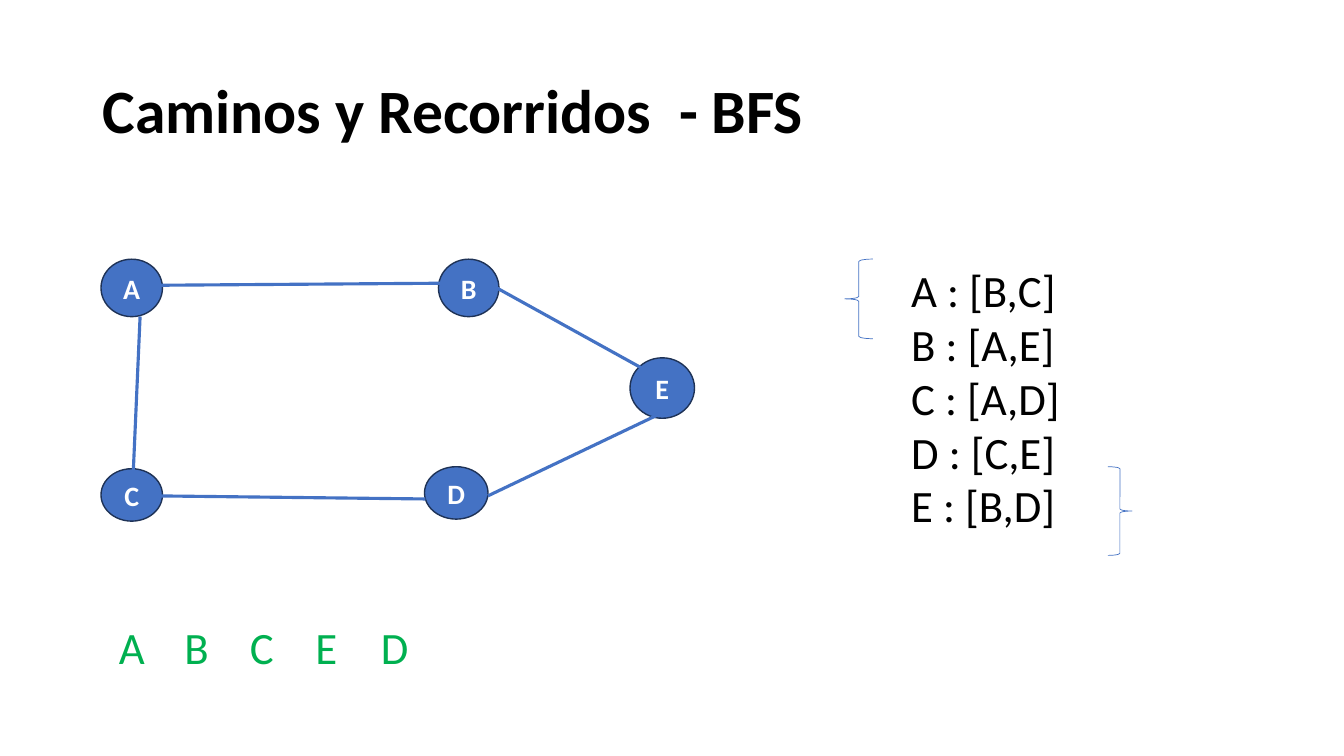
from dataclasses import dataclass

import pptx
import pptx.dml.color
import pptx.enum.shapes
import pptx.enum.text
import pptx.oxml
import pptx.oxml.ns
import pptx.util
from lxml import etree


@dataclass(frozen=True)
class Theme:
    font: str = "Calibri"
    ink: str = "000000"
    node: str = "4472C4"
    node_edge: str = "1E3256"
    node_label: str = "FFFFFF"
    visited: str = "00B050"
    title_size: int = 44
    body_size: int = 32
    label_size: int = 20


THEME = Theme()
SLIDE_WIDTH = pptx.util.Inches(13.33)
SLIDE_HEIGHT = pptx.util.Inches(7.5)
COLUMNS, ROWS = 40, 22.5
VISIT_PITCH = 1.95

NODES = {
    "A": (3.92, 8.57, 1.83, 1.71),
    "E": (19.71, 11.55, 1.92, 1.8),
    "C": (3.92, 14.73, 1.83, 1.56),
    "D": (13.58, 14.67, 1.89, 1.56),
    "B": (13.95, 8.57, 1.8, 1.71),
}
EDGES = {
    "AB": (4.74, 8.49, 13.11, 8.43),
    "CD": (4.71, 14.76, 12.66, 14.85),
    "BE": (14.64, 8.49, 19.47, 11.16),
    "DE": (14.52, 14.76, 19.74, 12.27),
    "AC": (4.17, 9.42, 3.96, 14.22),
}
NEIGHBOURS = {"A": "B,C", "B": "A,E", "C": "A,D", "D": "C,E", "E": "B,D"}
VISIT_ORDER = "ABCED"


def col(count):
    return round(SLIDE_WIDTH * count / COLUMNS)


def row(count):
    return round(SLIDE_HEIGHT * count / ROWS)


def box(left, top, width, height):
    return col(left), row(top), col(width), row(height)


def rgb(value):
    return pptx.dml.color.RGBColor.from_string(value)


def style(paragraph, size, color, bold=False):
    paragraph.font.name = THEME.font
    paragraph.font.size = pptx.util.Pt(size)
    paragraph.font.bold = bold
    paragraph.font.color.rgb = rgb(color)


def add_text(slide, place, lines, size, color, bold=False):
    frame = slide.shapes.add_textbox(*box(*place)).text_frame
    frame.word_wrap = True
    frame.text = "\n".join(lines)
    for paragraph in frame.paragraphs:
        style(paragraph, size, color, bold)
    return frame


def add_title(slide, title):
    frame = add_text(slide, (2.76, 1.2, 34.5, 4.35), [title],
                     THEME.title_size, THEME.ink, True)
    frame.vertical_anchor = pptx.enum.text.MSO_ANCHOR.MIDDLE
    frame.paragraphs[0].line_spacing = 0.9


def add_node(slide, letter, center_x, center_y, width, height):
    node = slide.shapes.add_shape(
        pptx.enum.shapes.MSO_SHAPE.OVAL,
        *box(center_x - width / 2, center_y - height / 2, width, height))
    node.shadow.inherit = False
    node.fill.solid()
    node.fill.fore_color.rgb = rgb(THEME.node)
    node.line.color.rgb = rgb(THEME.node_edge)
    node.line.width = pptx.util.Pt(1)
    frame = node.text_frame
    frame.word_wrap = False
    frame.vertical_anchor = pptx.enum.text.MSO_ANCHOR.MIDDLE
    frame.text = letter
    label = frame.paragraphs[0]
    label.alignment = pptx.enum.text.PP_ALIGN.CENTER
    style(label, THEME.label_size, THEME.node_label, True)


def add_edge(slide, x1, y1, x2, y2):
    edge = slide.shapes.add_connector(
        pptx.enum.shapes.MSO_CONNECTOR.STRAIGHT,
        col(x1), row(y1), col(x2), row(y2))
    edge.line.color.rgb = rgb(THEME.node)
    edge.line.width = pptx.util.Pt(2.25)
    etree.SubElement(edge._element.spPr, pptx.oxml.ns.qn("a:effectLst"))


def add_brace(slide, kind, *place):
    brace = slide.shapes.add_shape(kind, *box(*place))
    brace.shadow.inherit = False
    brace.fill.background()
    brace.line.color.rgb = rgb(THEME.node)
    brace.line.width = pptx.util.Pt(0.5)


def add_visit_order(slide, letters):
    frame = add_text(slide, (3.24, 18.3, 22.53, 1.92), ["\t".join(letters)],
                     THEME.body_size, THEME.visited)
    properties = frame.paragraphs[0]._p.get_or_add_pPr()
    stops = pptx.oxml.parse_xml(
        f'<a:tabLst {pptx.oxml.ns.nsdecls("a")}/>')
    properties.insert(0, stops)
    for index in range(1, len(letters)):
        etree.SubElement(stops, pptx.oxml.ns.qn("a:tab"),
                         pos=str(col(index * VISIT_PITCH)), algn="l")


def main():
    deck = pptx.Presentation()
    deck.slide_width, deck.slide_height = SLIDE_WIDTH, SLIDE_HEIGHT
    slide = deck.slides.add_slide(deck.slide_layouts[6])

    add_title(slide, "Caminos y Recorridos  - BFS")
    for letter, place in NODES.items():
        add_node(slide, letter, *place)
    for ends in EDGES.values():
        add_edge(slide, *ends)

    adjacency = [f"{node} : [{others}]" for node, others in NEIGHBOURS.items()]
    add_text(slide, (26.82, 7.68, 7.29, 8.37), adjacency,
             THEME.body_size, THEME.ink)
    shapes = pptx.enum.shapes.MSO_SHAPE
    add_brace(slide, shapes.LEFT_BRACE, 25.14, 7.71, 0.84, 2.37)
    add_brace(slide, shapes.RIGHT_BRACE, 32.97, 13.89, 0.72, 2.64)
    add_visit_order(slide, VISIT_ORDER)

    deck.save("out.pptx")


if __name__ == "__main__":
    main()
